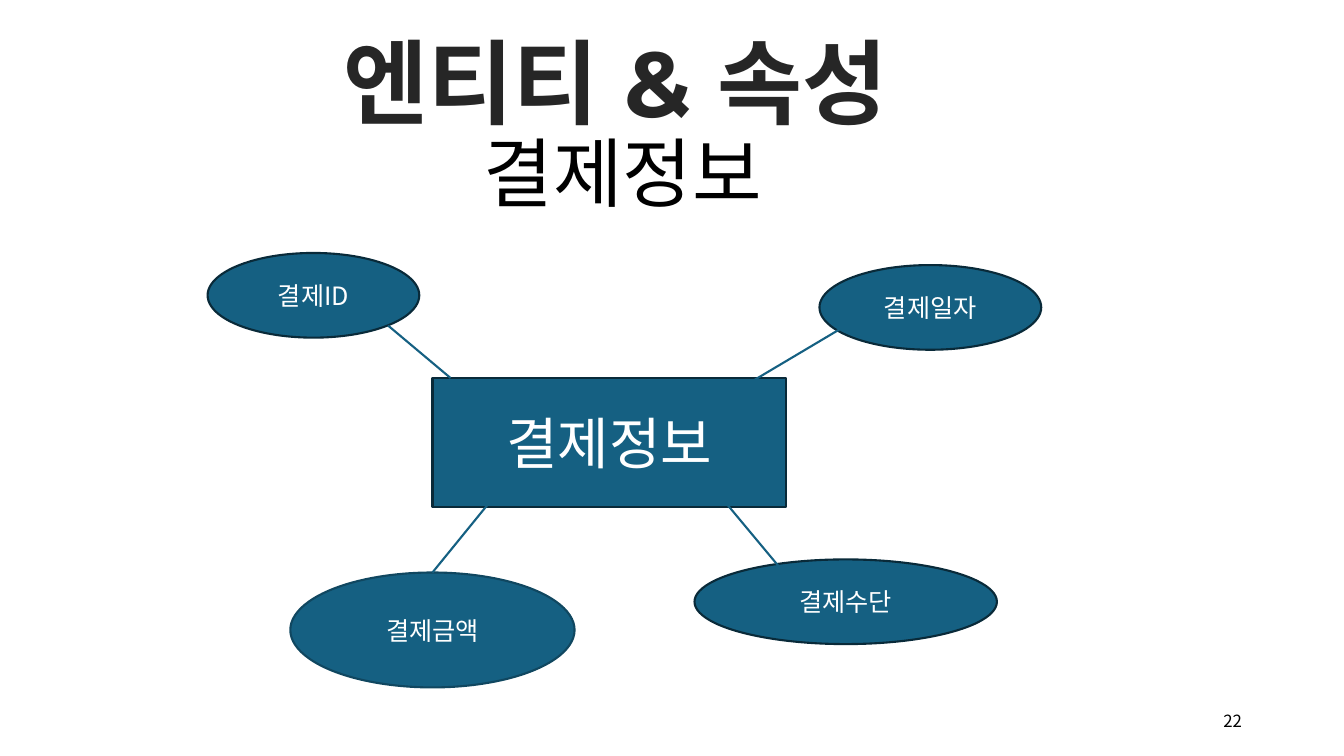
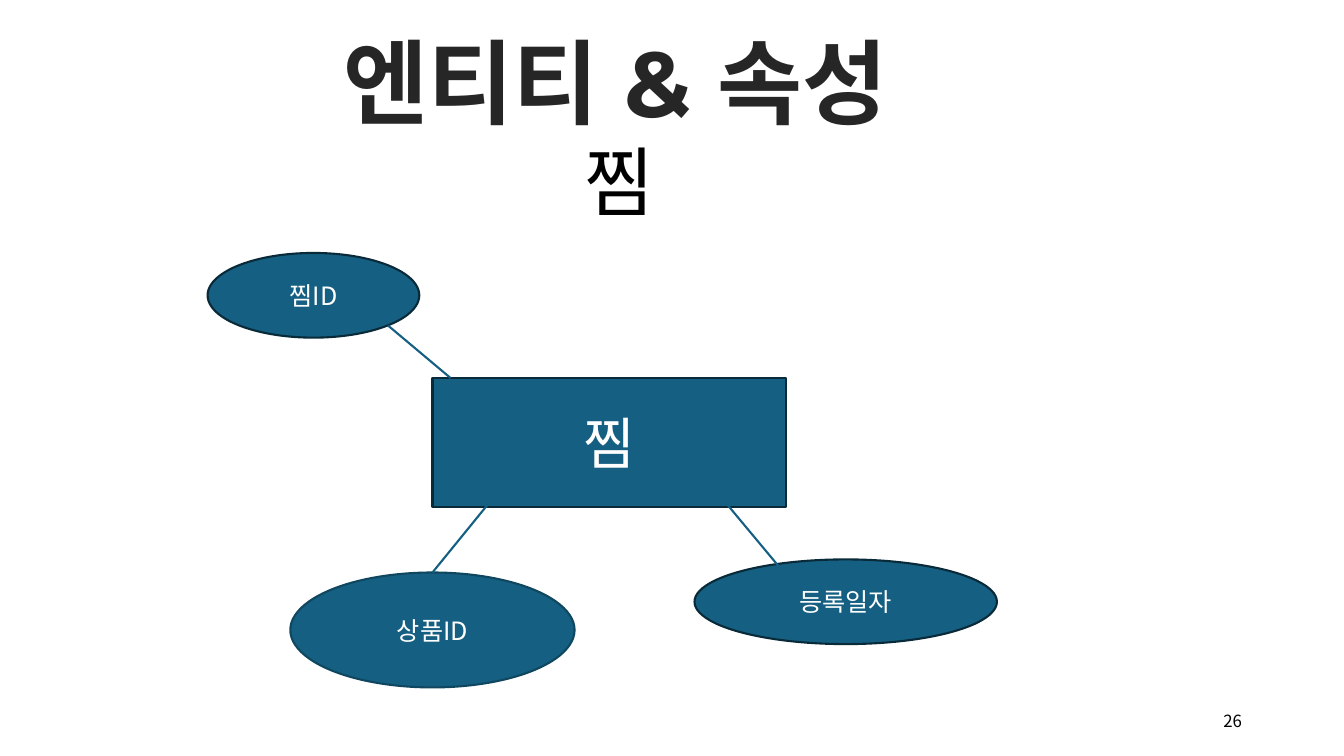
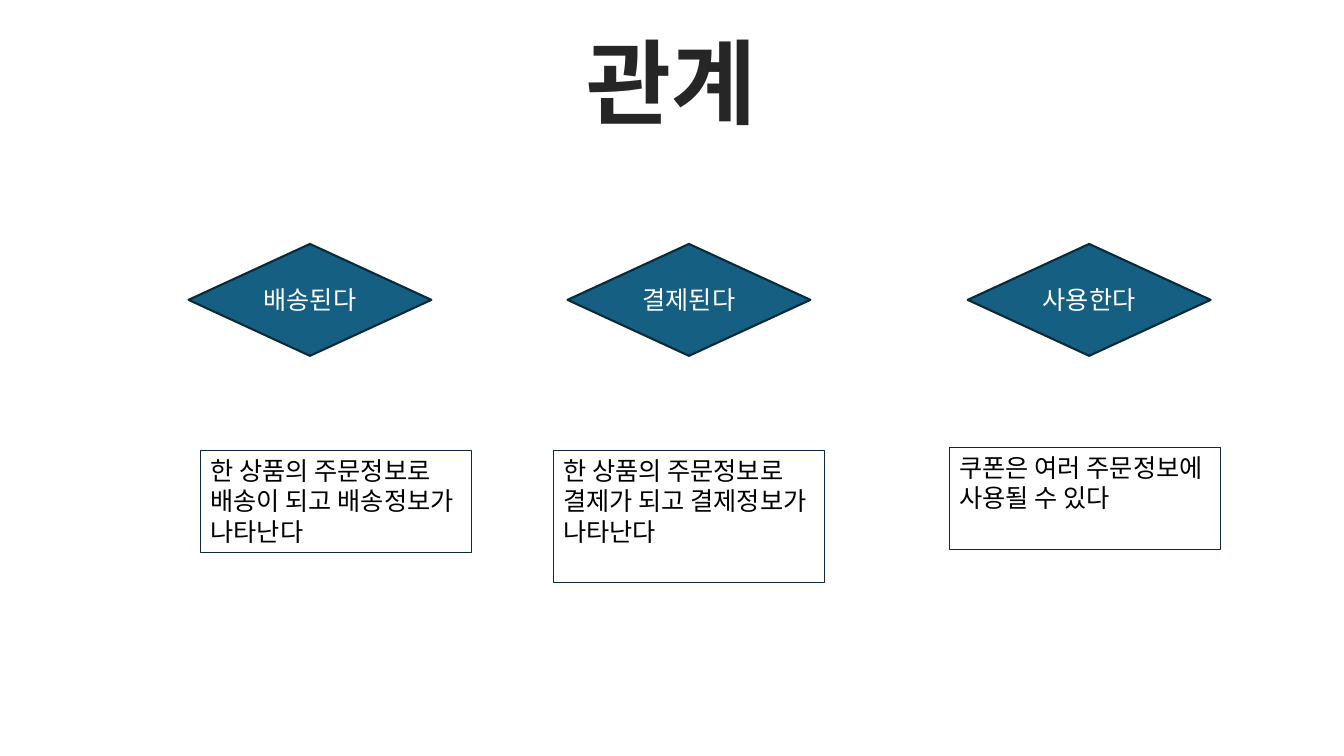
"""Build three slides on entities, attributes and relations."""
from dataclasses import dataclass

from lxml import etree
from pptx import Presentation
from pptx.dml.color import RGBColor
from pptx.enum.shapes import MSO_CONNECTOR, MSO_SHAPE
from pptx.enum.text import MSO_ANCHOR, PP_ALIGN
from pptx.oxml.ns import qn
from pptx.presentation import Presentation as Deck
from pptx.shapes.base import BaseShape
from pptx.slide import Slide
from pptx.util import Inches, Length, Pt

RECT, OVAL, GEM = MSO_SHAPE.RECTANGLE, MSO_SHAPE.OVAL, MSO_SHAPE.DIAMOND
LEFT, MID, RIGHT = PP_ALIGN.LEFT, PP_ALIGN.CENTER, PP_ALIGN.RIGHT
TOP, CORE = MSO_ANCHOR.TOP, MSO_ANCHOR.MIDDLE
LINE = MSO_CONNECTOR.STRAIGHT
COLS, ROWS = 133.33, 75
CELL = 0.1


@dataclass(frozen=True)
class Theme:
    """Colours, fonts and sizes that the slides share."""
    fill: str = "156082"
    edge: str = "092A39"
    soft: str = "104760"
    navy: str = "0E2841"
    dark: str = "262626"
    black: str = "000000"
    white: str = "FFFFFF"
    head: str = "Montserrat"
    body: str = "Noto Sans CJK KR"
    title: int = 66
    sub: int = 54
    name: int = 40
    text: int = 18
    page: int = 12
    wide: float = 1.5
    thin: float = 0.75


THEME = Theme()


@dataclass(frozen=True)
class Box:
    """Left, top, width and height in grid cells."""
    x: float
    y: float
    w: float
    h: float

    def place(self) -> tuple[Length, ...]:
        """Return the box as slide lengths."""
        return tuple(unit(v) for v in (self.x, self.y, self.w, self.h))


@dataclass(frozen=True)
class Type:
    """Look of a text."""
    size: int
    color: str
    align: PP_ALIGN = LEFT
    anchor: MSO_ANCHOR = TOP
    font: str = THEME.body
    bold: bool = False
    wrap: bool = True


@dataclass(frozen=True)
class Spot:
    """Place of an attribute and the line that ties it to its entity."""
    box: Box
    wire: tuple[float, float, float, float]
    edge: str = THEME.edge


@dataclass(frozen=True)
class Entity:
    """One entity with its attributes by spot."""
    name: str
    page: str
    sub: Box
    items: dict[str, str]


@dataclass(frozen=True)
class Bond:
    """One relation with its note."""
    name: str
    x: float
    note: str
    card: Box


TITLE = Type(THEME.title, THEME.dark, MID, TOP, THEME.head, True, False)
SUB = Type(THEME.sub, THEME.black)
NAME = Type(THEME.name, THEME.white, MID, CORE)
LABEL = Type(THEME.text, THEME.white, MID, CORE)
NOTE = Type(THEME.text, THEME.black)
PAGE = Type(THEME.page, THEME.black, RIGHT, CORE)

HUB = Box(42.9, 37.5, 35.1, 12.8)
FOOT = Box(94.2, 69.5, 30, 4)
SPOTS = {
    "id": Spot(Box(20.6, 25.1, 21, 8.4), (38.5, 32.3, 44.7, 37.5)),
    "date": Spot(Box(81.3, 26.3, 22, 8.4), (84.6, 31.9, 68.1, 41.7)),
    "means": Spot(Box(68.9, 55.5, 30, 8.4), (78.1, 57.2, 70.6, 48.2)),
    "sum": Spot(Box(28.8, 56.8, 28.2, 11.4), (49.9, 48.2, 42.9, 56.8),
                THEME.soft),
}
ENTITIES = (
    Entity("결제정보", "22", Box(47, 12, 35.6, 10.1),
           {"id": "결제ID", "date": "결제일자", "means": "결제수단",
            "sum": "결제금액"}),
    Entity("찜", "26", Box(57, 12.9, 42.1, 10.1),
           {"id": "찜ID", "means": "등록일자", "sum": "상품ID"}),
)
BONDS = (
    Bond("배송된다", 18.7, "한 상품의 주문정보로 배송이 되고 배송정보가 나타난다",
         Box(19.9, 44.7, 26.9, 10.1)),
    Bond("결제된다", 56.3, "한 상품의 주문정보로\n결제가 되고 결제정보가 나타난다",
         Box(54.9, 44.7, 26.9, 13.1)),
    Bond("사용한다", 96, "쿠폰은 여러 주문정보에 사용될 수 있다",
         Box(94.2, 44.4, 26.9, 10.1)),
)


def unit(cells: float) -> Length:
    """Turn grid cells into a length."""
    return Inches(cells * CELL)


def rgb(code: str) -> RGBColor:
    """Turn a hex code into a colour."""
    return RGBColor.from_string(code)


def write(shape: BaseShape, text: str, kind: Type) -> None:
    """Fill a shape with styled text."""
    frame = shape.text_frame
    frame.text = text
    frame.word_wrap = kind.wrap
    frame.vertical_anchor = kind.anchor
    for para in frame.paragraphs:
        para.alignment = kind.align
        for run in para.runs:
            font = run.font
            font.size, font.bold, font.name = Pt(kind.size), kind.bold, kind.font
            font.color.rgb = rgb(kind.color)
            east = etree.SubElement(run._r.get_or_add_rPr(), qn("a:ea"))
            east.set("typeface", kind.font)


def label(slide: Slide, box: Box, text: str, kind: Type) -> None:
    """Add a plain text box."""
    write(slide.shapes.add_textbox(*box.place()), text, kind)


def block(slide: Slide, form: MSO_SHAPE, box: Box, text: str, kind: Type,
          fill: str | None = THEME.fill, edge: str = THEME.edge,
          width: float = THEME.wide) -> None:
    """Add an outlined shape with text."""
    shape = slide.shapes.add_shape(form, *box.place())
    shape.shadow.inherit = False
    if fill:
        shape.fill.solid()
        shape.fill.fore_color.rgb = rgb(fill)
    else:
        shape.fill.background()
    shape.line.color.rgb = rgb(edge)
    shape.line.width = Pt(width)
    write(shape, text, kind)


def tie(slide: Slide, ends: tuple[float, float, float, float]) -> None:
    """Add a straight line without a shadow."""
    wire = slide.shapes.add_connector(LINE, *(unit(v) for v in ends))
    wire.line.color.rgb = rgb(THEME.fill)
    wire.line.width = Pt(THEME.wide)
    etree.SubElement(wire._element.spPr, qn("a:effectLst"))


def start(deck: Deck, title: str, left: float) -> Slide:
    """Add a blank slide with a title."""
    slide = deck.slides.add_slide(deck.slide_layouts[6])
    label(slide, Box(left, 2, 64.1, 13.4), title, TITLE)
    return slide


def draw_entity(deck: Deck, entity: Entity) -> None:
    """Draw an entity with its attributes around it."""
    slide = start(deck, "엔티티 & 속성", 29)
    label(slide, FOOT, entity.page, PAGE)
    label(slide, entity.sub, entity.name, SUB)
    block(slide, RECT, HUB, entity.name, NAME)
    for key, text in entity.items.items():
        spot = SPOTS[key]
        block(slide, OVAL, spot.box, text, LABEL, edge=spot.edge)
        tie(slide, spot.wire)


def draw_bonds(deck: Deck) -> None:
    """Draw the relations with their notes."""
    slide = start(deck, "관계", 34.6)
    for bond in BONDS:
        block(slide, GEM, Box(bond.x, 24.2, 24.1, 11.1), bond.name, LABEL)
        block(slide, RECT, bond.card, bond.note, NOTE, None, THEME.navy,
              THEME.thin)


def main() -> None:
    """Build and save the deck."""
    deck = Presentation()
    deck.slide_width, deck.slide_height = unit(COLS), unit(ROWS)
    for entity in ENTITIES:
        draw_entity(deck, entity)
    draw_bonds(deck)
    deck.save("out.pptx")


if __name__ == "__main__":
    main()
